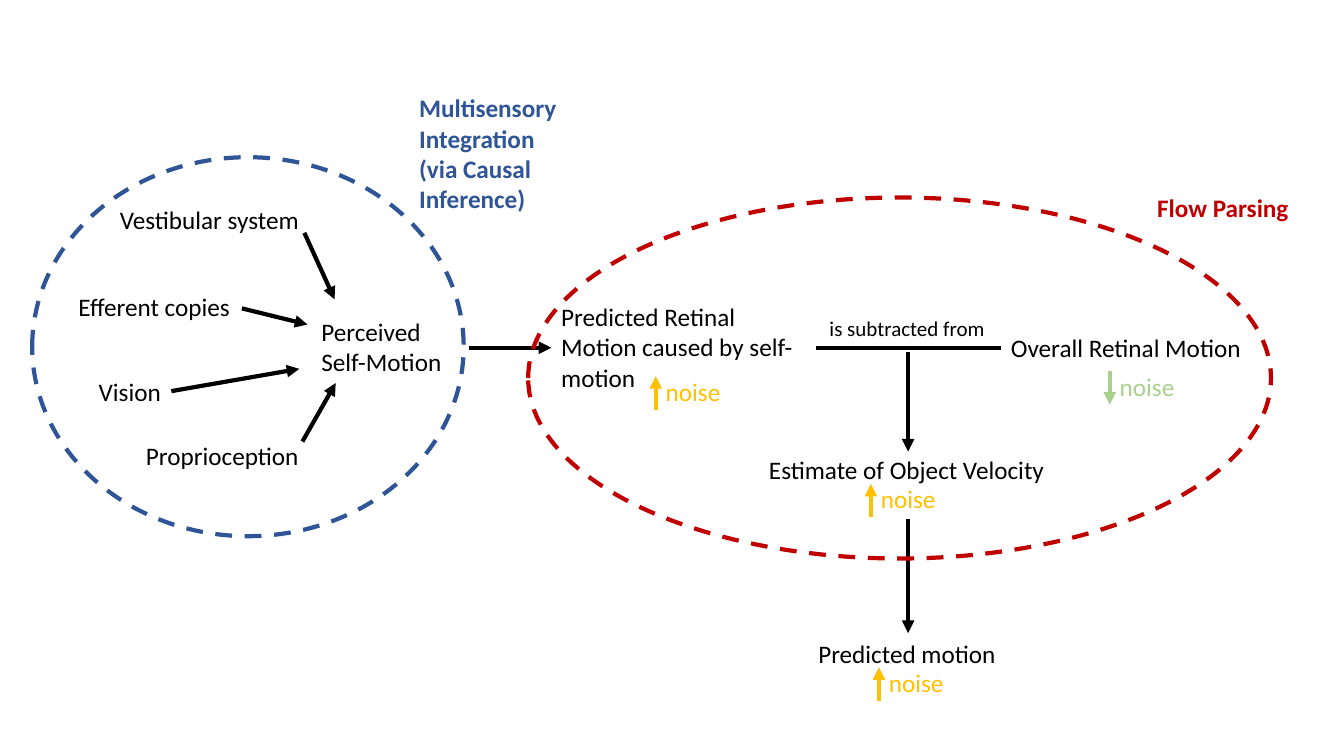
"""Build the slide on self-motion, flow parsing and predicted object motion."""
from typing import NamedTuple

from lxml import etree
from pptx import Presentation
from pptx.dml.color import RGBColor
from pptx.enum import dml, shapes, text
from pptx.oxml import ns
from pptx.slide import Slide
from pptx.util import Pt

BLACK = RGBColor(0x00, 0x00, 0x00)
RED = RGBColor(0xC0, 0x00, 0x00)
BLUE = RGBColor(0x2F, 0x55, 0x97)
AMBER = RGBColor(0xFF, 0xC0, 0x00)
GREEN = RGBColor(0xA9, 0xD1, 0x8E)
FONT = "Calibri"
LINE_WIDTH = 3
AXIS_Y = 248.4
RESULT_X = 648.7
NOISE_GAP = 3.6
NOISE_ARROW = 24


class Label(NamedTuple):
    text: str
    left: float
    top: float
    width: float
    height: float = 28.8
    color: RGBColor = BLACK
    size: float = 18
    bold: bool = False
    wrap: bool = False


class Line(NamedTuple):
    x1: float
    y1: float
    x2: float
    y2: float
    color: RGBColor = BLACK
    arrow: bool = True


class Region(NamedTuple):
    left: float
    top: float
    width: float
    height: float
    color: RGBColor


class Noise(NamedTuple):
    left: float
    top: float
    rising: bool = True


LABELS = [
    Label("Perceived Self-Motion", 222.5, 222.5, 112.3, 51.1, wrap=True),
    Label("Vestibular system", 78.5, 142.6, 144),
    Label("Efferent copies", 49, 204.5, 124.6),
    Label("Vision", 63.4, 265, 59.8),
    Label("Proprioception", 97.2, 311, 124.6),
    Label("Overall Retinal Motion", 715, 234, 180.7),
    Label("Predicted Retinal Motion caused by self-motion",
          393.8, 211.7, 188.6, 72.7, wrap=True),
    Label("is subtracted from", 585.4, 221.8, 126.7, 25.2, size=15),
    Label("Estimate of Object Velocity", 542.2, 321.1, 213.1),
    Label("Predicted motion", 577.4, 452.2, 142.6),
    Label("Flow Parsing", 819.4, 133.9, 109.4, color=RED, bold=True),
    Label("Multisensory\nIntegration (via Causal Inference)",
          292.3, 62.6, 115.2, 94.3, BLUE, bold=True, wrap=True),
]
LINES = [
    Line(217.4, 166.3, 239, 213.8),
    Line(172.8, 220.3, 219.6, 231.8),
    Line(122.4, 279.4, 213.8, 263.5),
    Line(216, 315.4, 239.8, 273.6),
    Line(334.8, AXIS_Y, 393.8, AXIS_Y),
    Line(583.2, AXIS_Y, 715, AXIS_Y, arrow=False),
    Line(RESULT_X, 251.3, RESULT_X, 322.6),
    Line(RESULT_X, 370.8, RESULT_X, 452.2),
]
REGIONS = [
    Region(377.3, 141.1, 530.6, 257.8, RED),
    Region(23, 112.3, 308.2, 270.7, BLUE),
]
NOISES = [
    Noise(468.4, 265),
    Noise(792.7, 261.4, rising=False),
    Noise(622.1, 342),
    Noise(627.8, 473),
]


def add_label(s: Slide, label: Label) -> None:
    """Add a text box with one uniform text style."""
    sp = s.shapes.add_textbox(Pt(label.left), Pt(label.top),
                              Pt(label.width), Pt(label.height))
    tf = sp.text_frame
    tf.text = label.text
    tf.word_wrap = label.wrap
    tf.auto_size = text.MSO_AUTO_SIZE.SHAPE_TO_FIT_TEXT
    for p in tf.paragraphs:
        for r in p.runs:
            r.font.name = FONT
            r.font.size = Pt(label.size)
            r.font.bold = label.bold
            r.font.color.rgb = label.color


def add_line(s: Slide, line: Line) -> None:
    """Add a straight connector, with an arrowhead at its end if wanted."""
    cxn = s.shapes.add_connector(shapes.MSO_CONNECTOR.STRAIGHT, Pt(line.x1),
                                 Pt(line.y1), Pt(line.x2), Pt(line.y2))
    cxn.line.color.rgb = line.color
    cxn.line.width = Pt(LINE_WIDTH)
    if line.arrow:
        ln = cxn.line._get_or_add_ln()
        etree.SubElement(ln, ns.qn("a:tailEnd"), type="triangle")
    etree.SubElement(cxn._element.spPr, ns.qn("a:effectLst"))


def add_region(s: Slide, region: Region) -> None:
    """Add a dashed, unfilled ellipse."""
    sp = s.shapes.add_shape(shapes.MSO_SHAPE.OVAL, Pt(region.left), Pt(region.top),
                            Pt(region.width), Pt(region.height))
    sp.shadow.inherit = False
    sp.fill.background()
    sp.line.color.rgb = region.color
    sp.line.width = Pt(LINE_WIDTH)
    sp.line.dash_style = dml.MSO_LINE.DASH


def add_noise(s: Slide, noise: Noise) -> None:
    """Add a noise label with its rising or falling arrow."""
    color = AMBER if noise.rising else GREEN
    add_label(s, Label("noise", noise.left, noise.top, 54, color=color))
    high = noise.top + NOISE_GAP
    low = high + NOISE_ARROW
    start, end = (low, high) if noise.rising else (high, low)
    add_line(s, Line(noise.left, start, noise.left, end, color))


def main() -> None:
    """Draw the slide and save it."""
    prs = Presentation()
    prs.slide_width, prs.slide_height = Pt(960), Pt(540)
    s = prs.slides.add_slide(prs.slide_layouts[6])
    for label in LABELS:
        add_label(s, label)
    for line in LINES:
        add_line(s, line)
    for region in REGIONS:
        add_region(s, region)
    for noise in NOISES:
        add_noise(s, noise)
    prs.save("out.pptx")


main()
